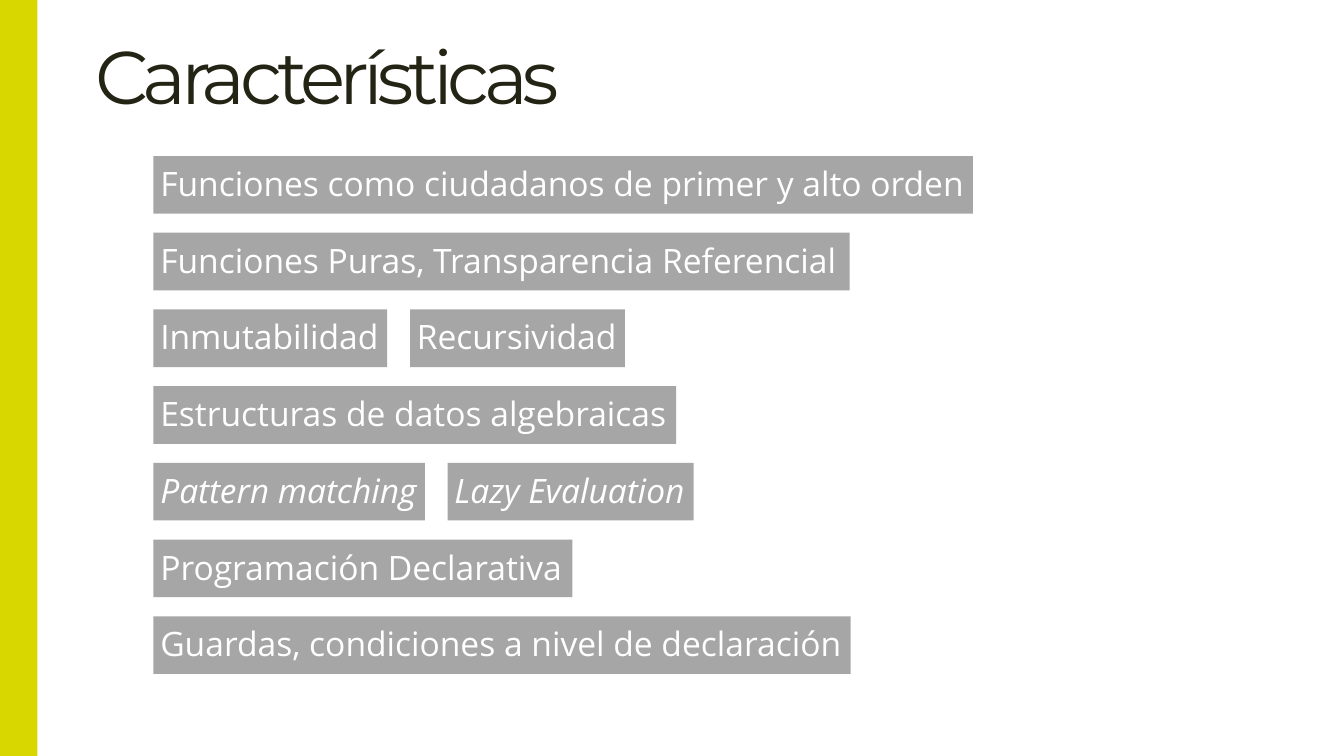
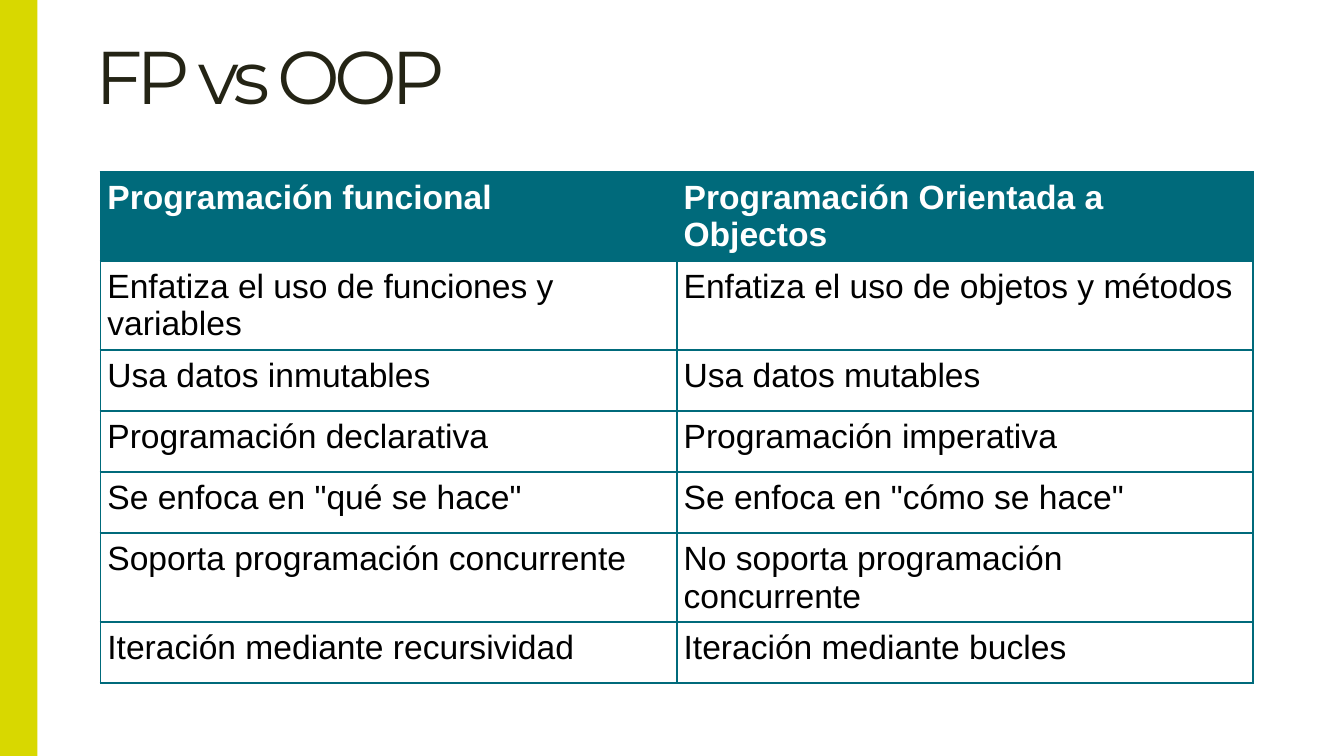
from lxml.etree import SubElement
from pptx import Presentation
from pptx.dml.color import RGBColor
from pptx.enum.shapes import MSO_SHAPE as Preset
from pptx.enum.text import MSO_ANCHOR as Anchor, MSO_AUTO_SIZE as AutoSize, PP_ALIGN as Align
from pptx.oxml.ns import qn
from pptx.util import Cm, Pt

SLIDE_W, SLIDE_H = 25.4, 14.29
LIME, GREY, TEAL = "D8D800", "A6A6A6", "006A7B"
INK, WHITE, BLACK = "242415", "FFFFFF", "000000"
INSET = 0.13

TITLE_FONT = {"name": "Montserrat", "size": Pt(40), "bold": False}
TAG_FONT = {"name": "Open Sans", "size": Pt(18)}
CELL_FONT = {"name": "Arial", "size": Pt(18)}

# Each row holds tags as (wording, width, italic).
FEATURES = [
    [("Funciones como ciudadanos de primer y alto orden", 15.49, False)],
    [("Funciones Puras, Transparencia Referencial", 13.16, False)],
    [("Inmutabilidad", 4.42, False), ("Recursividad", 4.06, False)],
    [("Estructuras de datos algebraicas", 9.88, False)],
    [("Pattern matching", 5.13, True), ("Lazy Evaluation", 4.65, True)],
    [("Programación Declarativa", 7.92, False)],
    [("Guardas, condiciones a nivel de declaración", 13.18, False)],
]

COMPARISON = [
    ("Programación funcional", "Programación Orientada a Objectos"),
    ("Enfatiza el uso de funciones y variables", "Enfatiza el uso de objetos y métodos"),
    ("Usa datos inmutables", "Usa datos mutables"),
    ("Programación declarativa", "Programación imperativa"),
    ('Se enfoca en "qué se hace"', 'Se enfoca en "cómo se hace"'),
    ("Soporta programación concurrente", "No soporta programación concurrente"),
    ("Iteración mediante recursividad", "Iteración mediante bucles"),
]


def rgb(value):
    return RGBColor.from_string(value)


def apply(target, values):
    """Set every attribute named in the dict of format values."""
    for key, value in values.items():
        setattr(target, key, value)


def margins(size):
    """Equal inner margins, for a text frame or a cell."""
    return {f"margin_{side}": Cm(size) for side in ("left", "top", "right", "bottom")}


def write(frame, wording, font, color):
    paragraph = frame.paragraphs[0]
    paragraph.alignment = Align.LEFT
    run = paragraph.add_run()
    run.text = wording
    apply(run.font, font)
    run.font.color.rgb = rgb(color)
    return run


def add_block(slide, left, top, width, height, color):
    """Plain filled rectangle without outline or shadow."""
    block = slide.shapes.add_shape(Preset.RECTANGLE, Cm(left), Cm(top), Cm(width), Cm(height))
    block.shadow.inherit = False
    block.fill.solid()
    block.fill.fore_color.rgb = rgb(color)
    block.line.fill.background()
    return block


def add_titled_slide(deck, wording):
    """Title-only slide with the shared heading style and lime side band."""
    slide = deck.slides.add_slide(deck.slide_layouts[5])
    heading = slide.shapes.title
    apply(heading, {"left": Cm(1.8), "top": Cm(0), "width": Cm(22.9), "height": Cm(2.26)})
    frame = heading.text_frame
    apply(frame, {"vertical_anchor": Anchor.BOTTOM, "word_wrap": True,
                  "auto_size": AutoSize.NONE, **margins(0)})
    run = write(frame, wording, TITLE_FONT, INK)
    run.font._element.set("spc", "-300")
    add_block(slide, 0, 0, 0.71, SLIDE_H, LIME)
    return slide


def add_tag(slide, left, top, width, height, wording, italic):
    frame = add_block(slide, left, top, width, height, GREY).text_frame
    apply(frame, {"vertical_anchor": Anchor.TOP, "word_wrap": False,
                  "auto_size": AutoSize.SHAPE_TO_FIT_TEXT, **margins(INSET)})
    write(frame, wording, {**TAG_FONT, "italic": italic}, WHITE)


def add_tag_rows(slide, left, top, rows, tag_height=1.09, pitch=1.45, gap=0.43):
    """Stack rows of tags, each row running from the left edge."""
    for index, row in enumerate(rows):
        tag_left = left
        for wording, width, italic in row:
            add_tag(slide, tag_left, top + index * pitch, width, tag_height, wording, italic)
            tag_left += width + gap


def add_borders(cell, color, width=Pt(1)):
    """Line all four sides; must run before the cell is filled."""
    properties = cell._tc.get_or_add_tcPr()
    for side in ("lnL", "lnR", "lnT", "lnB"):
        line = SubElement(properties, qn(f"a:{side}"), w=str(int(width)))
        fill = SubElement(line, qn("a:solidFill"))
        SubElement(fill, qn("a:srgbClr"), val=color)


def add_comparison(slide, left, top, width, height, rows):
    frame = slide.shapes.add_table(len(rows), len(rows[0]), Cm(left), Cm(top), Cm(width), Cm(height))
    table = frame.table
    apply(table, {"first_row": False, "horz_banding": False})
    for row_index, row in enumerate(rows):
        header = row_index == 0
        for column, wording in enumerate(row):
            cell = table.cell(row_index, column)
            apply(cell, {"vertical_anchor": Anchor.TOP, **margins(INSET)})
            add_borders(cell, TEAL)
            cell.fill.solid()
            cell.fill.fore_color.rgb = rgb(TEAL if header else WHITE)
            write(cell.text_frame, wording, {**CELL_FONT, "bold": header},
                  WHITE if header else BLACK)


def main():
    deck = Presentation()
    apply(deck, {"slide_width": Cm(SLIDE_W), "slide_height": Cm(SLIDE_H)})
    add_tag_rows(add_titled_slide(deck, "Características"), 2.9, 2.95, FEATURES)
    add_comparison(add_titled_slide(deck, "FP vs OOP"), 1.9, 3.25, 21.78, 8.08, COMPARISON)
    deck.save("out.pptx")


if __name__ == "__main__":
    main()
